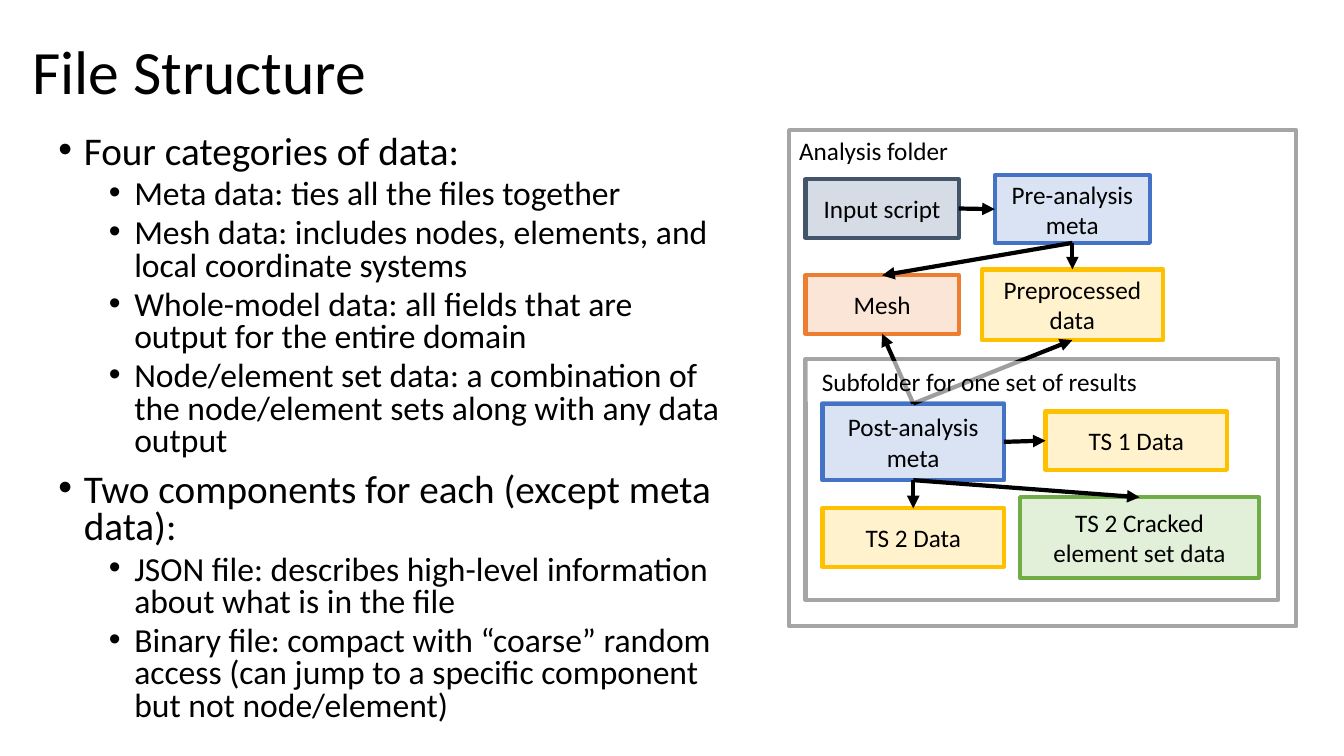
from lxml import etree
from pptx import Presentation
from pptx import util as u
from pptx.dml.color import RGBColor
from pptx.enum import shapes, text
from pptx.oxml.ns import qn

BLACK = RGBColor(0x00, 0x00, 0x00)
WHITE = RGBColor(0xFF, 0xFF, 0xFF)
GREY = RGBColor(0xA5, 0xA5, 0xA5)
# Node styles: (fill, outline)
SCRIPT = (RGBColor(0xD6, 0xDC, 0xE5), RGBColor(0x44, 0x54, 0x6A))
META = (RGBColor(0xDA, 0xE3, 0xF3), RGBColor(0x44, 0x72, 0xC4))
MESH = (RGBColor(0xFB, 0xE5, 0xD6), RGBColor(0xED, 0x7D, 0x31))
DATA = (RGBColor(0xFF, 0xF2, 0xCC), RGBColor(0xFF, 0xC0, 0x00))
ELEMENT_SET = (RGBColor(0xE2, 0xF0, 0xD9), RGBColor(0x70, 0xAD, 0x47))
FOLDER = (WHITE, GREY)

FONT = "Calibri"
TOP, LEFT, BOTTOM, RIGHT = range(4)  # connection sites of a rectangle

# (level, text)
BULLETS = [
    (0, "Four categories of data:"),
    (1, "Meta data: ties all the files together"),
    (1, "Mesh data: includes nodes, elements, and local coordinate systems"),
    (1, "Whole-model data: all fields that are output for the entire domain"),
    (1, "Node/element set data: a combination of the node/element sets "
        "along with any data output"),
    (0, "Two components for each (except meta data):"),
    (1, "JSON file: describes high-level information about what is in the file"),
    (1, "Binary file: compact with “coarse” random access (can jump to a "
        "specific component but not node/element)"),
]

# (label, left, top, width, height, style), cm within the enclosing folder
ANALYSIS_NODES = [
    ("Input script", 0.41, 1.24, 3.86, 1.47, SCRIPT),
    ("Pre-analysis meta", 5.18, 1.14, 3.91, 1.7, META),
    ("Mesh", 0.41, 3.66, 3.86, 1.47, MESH),
    ("Preprocessed data", 4.85, 3.51, 4.57, 1.78, DATA),
]
RESULT_NODES = [
    ("Post-analysis meta", 0.43, 1.12, 4.57, 1.93, META),
    ("TS 1 Data", 6.05, 1.32, 4.57, 1.47, DATA),
    ("TS 2 Data", 0.43, 3.76, 4.57, 1.47, DATA),
    ("TS 2 Cracked element set data", 5.41, 3.48, 6.02, 2.03, ELEMENT_SET),
]
# (from, site, to, site)
ARROWS = [
    ("Input script", RIGHT, "Pre-analysis meta", LEFT),
    ("Pre-analysis meta", BOTTOM, "Preprocessed data", TOP),
    ("Pre-analysis meta", BOTTOM, "Mesh", TOP),
    ("Post-analysis meta", TOP, "Mesh", BOTTOM),
    ("Post-analysis meta", TOP, "Preprocessed data", BOTTOM),
    ("Post-analysis meta", RIGHT, "TS 1 Data", LEFT),
    ("Post-analysis meta", BOTTOM, "TS 2 Data", TOP),
    ("Post-analysis meta", BOTTOM, "TS 2 Cracked element set data", TOP),
]


def place(shape, left, top, width, height):
    shape.left, shape.top = u.Cm(left), u.Cm(top)
    shape.width, shape.height = u.Cm(width), u.Cm(height)


def add_run(paragraph, words, size):
    run = paragraph.add_run()
    run.text = words
    run.font.name = FONT
    run.font.size = u.Pt(size)
    run.font.color.rgb = BLACK


def add_box(slide, left, top, width, height, style, label="",
            align=text.PP_ALIGN.CENTER, anchor=text.MSO_ANCHOR.MIDDLE):
    fill, outline = style
    shape = slide.shapes.add_shape(
        shapes.MSO_SHAPE.RECTANGLE,
        u.Cm(left), u.Cm(top), u.Cm(width), u.Cm(height))
    shape.shadow.inherit = False
    shape.fill.solid()
    shape.fill.fore_color.rgb = fill
    if outline is None:
        shape.line.fill.background()
    else:
        shape.line.color.rgb = outline
        shape.line.width = u.Pt(3)
    if label:
        frame = shape.text_frame
        frame.word_wrap = True
        frame.vertical_anchor = anchor
        frame.paragraphs[0].alignment = align
        add_run(frame.paragraphs[0], label, 18)
    return shape


def add_nodes(slide, left, top, nodes):
    return {label: add_box(slide, left + x, top + y, width, height, style, label)
            for label, x, y, width, height, style in nodes}


def add_arrow(slide, start, start_site, end, end_site):
    arrow = slide.shapes.add_connector(shapes.MSO_CONNECTOR.STRAIGHT, 0, 0, 0, 0)
    arrow.begin_connect(start, start_site)
    arrow.end_connect(end, end_site)
    arrow.line.color.rgb = BLACK
    arrow.line.width = u.Pt(3)
    etree.SubElement(arrow.line._get_or_add_ln(), qn("a:tailEnd"), type="triangle")
    etree.SubElement(arrow._element.spPr, qn("a:effectLst"))


def fill_title(slide, left, top, width, height):
    title = slide.shapes.title
    place(title, left, top, width, height)
    frame = title.text_frame
    frame.auto_size = text.MSO_AUTO_SIZE.NONE
    frame.vertical_anchor = text.MSO_ANCHOR.MIDDLE
    paragraph = frame.paragraphs[0]
    paragraph.alignment = text.PP_ALIGN.LEFT
    paragraph.line_spacing = 0.9
    add_run(paragraph, "File Structure", 44)


def fill_bullets(slide, left, top, width, height):
    body = slide.placeholders[1]
    place(body, left, top, width, height)
    frame = body.text_frame
    frame.auto_size = text.MSO_AUTO_SIZE.NONE
    for index, (level, words) in enumerate(BULLETS):
        paragraph = frame.add_paragraph() if index else frame.paragraphs[0]
        paragraph.level = level
        paragraph.line_spacing = 0.8
        paragraph.space_before = u.Pt((10, 5)[level] if index else 0)
        properties = paragraph._p.get_or_add_pPr()
        properties.set("marL", str(u.Cm((0.64, 1.91)[level])))
        properties.set("indent", str(u.Cm(-0.64)))
        etree.SubElement(properties, qn("a:buFont"), typeface="Arial")
        etree.SubElement(properties, qn("a:buChar"), char="•")
        add_run(paragraph, words, (28, 24)[level])


def draw_folders(slide, left, top, width, height):
    # Analysis folder and the subfolder inside it
    add_box(slide, left, top, width, height, FOLDER, "Analysis folder",
            text.PP_ALIGN.LEFT, text.MSO_ANCHOR.TOP)
    sub_left, sub_top = left + 0.41, top + 5.77
    add_box(slide, sub_left, sub_top, 11.91, 6.07, FOLDER)

    # Files and the links between them
    nodes = add_nodes(slide, left, top, ANALYSIS_NODES)
    nodes.update(add_nodes(slide, sub_left, sub_top, RESULT_NODES))
    for start, start_site, end, end_site in ARROWS:
        add_arrow(slide, nodes[start], start_site, nodes[end], end_site)

    # Translucent subfolder label over the arrows
    label = add_box(slide, sub_left + 0.05, sub_top + 0.05, 8.56, 1.02,
                    (WHITE, None), "Subfolder for one set of results",
                    text.PP_ALIGN.RIGHT, text.MSO_ANCHOR.TOP)
    label.text_frame.word_wrap = False
    color = label._element.spPr.find(qn("a:solidFill")).find(qn("a:srgbClr"))
    etree.SubElement(color, qn("a:alpha"), val="62000")


def main():
    presentation = Presentation()
    presentation.slide_width = u.Cm(33.87)
    presentation.slide_height = u.Cm(19.05)
    slide = presentation.slides.add_slide(presentation.slide_layouts[1])
    fill_title(slide, 0.56, 0.03, 29.21, 3.68)
    fill_bullets(slide, 1.22, 3.28, 17.4, 15.47)
    draw_folders(slide, 19.89, 3.28, 12.78, 12.5)
    presentation.save("out.pptx")


if __name__ == "__main__":
    main()
